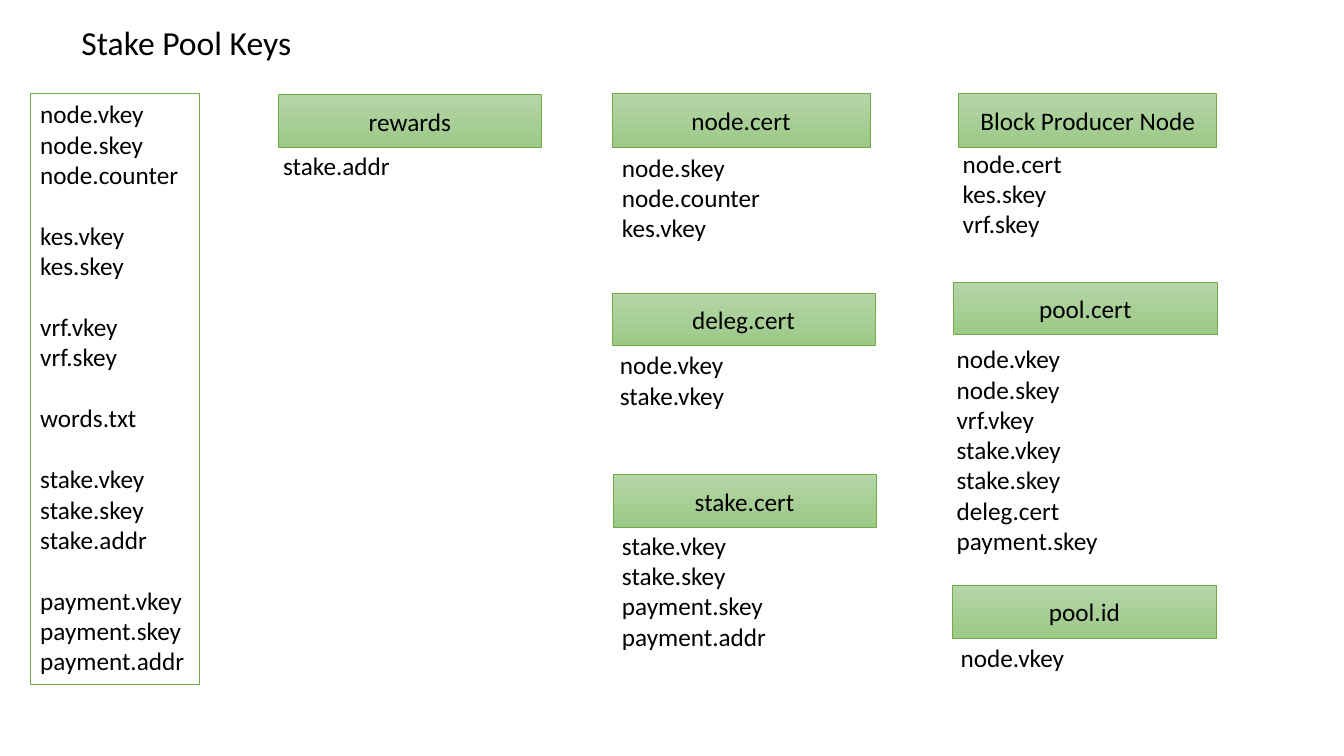
from pptx import Presentation
from pptx.dml.color import RGBColor
from pptx.enum.shapes import MSO_SHAPE
from pptx.enum.text import MSO_ANCHOR, PP_ALIGN
from pptx.util import Inches, Pt

GREEN, BLACK, WHITE = "70AD47", "000000", "FFFFFF"
HEADER_GRADIENT = ("B5D5A7", "9CC987")
BODY_SIZE = 18
LINE_SPACE = Pt(22)

KEY_GROUPS = [
    ["node.vkey", "node.skey", "node.counter"],
    ["kes.vkey", "kes.skey"],
    ["vrf.vkey", "vrf.skey"],
    ["words.txt"],
    ["stake.vkey", "stake.skey", "stake.addr"],
    ["payment.vkey", "payment.skey", "payment.addr"],
]

CARDS = [
    ("Block Producer Node", (9.51, 0.93, 2.56, 0.53), (9.45, 1.42, 1.2),
     ["node.cert", "kes.skey", "vrf.skey"]),
    ("pool.cert", (9.46, 2.8, 2.61, 0.52), (9.39, 3.36, 1.67),
     ["node.vkey", "node.skey", "vrf.vkey", "stake.vkey", "stake.skey",
      "deleg.cert", "payment.skey"]),
    ("stake.cert", (6.08, 4.71, 2.61, 0.52), (6.07, 5.21, 1.65),
     ["stake.vkey", "stake.skey", "payment.skey", "payment.addr"]),
    ("node.cert", (6.07, 0.93, 2.56, 0.53), (6.07, 1.46, 1.59),
     ["node.skey", "node.counter", "kes.vkey"]),
    ("deleg.cert", (6.07, 2.91, 2.61, 0.52), (6.05, 3.42, 1.3),
     ["node.vkey", "stake.vkey"]),
    ("pool.id", (9.45, 5.81, 2.61, 0.52), (9.43, 6.32, 1.24), ["node.vkey"]),
    ("rewards", (2.76, 0.94, 2.61, 0.52), (2.71, 1.44, 1.27), ["stake.addr"]),
]


def color(code):
    """Turn a hex string into a colour."""
    return RGBColor.from_string(code)


def apply_format(target, values):
    """Set each named attribute on the target."""
    for name, value in values.items():
        setattr(target, name, value)


def write_groups(frame, groups, size=BODY_SIZE, align=PP_ALIGN.LEFT):
    """Write one paragraph per line, with a line's space between groups."""
    frame.word_wrap = True
    para = None
    for group_index, group in enumerate(groups):
        for line_index, line in enumerate(group):
            para = frame.add_paragraph() if para else frame.paragraphs[0]
            starts_group = group_index > 0 and line_index == 0
            apply_format(para, {
                "alignment": align,
                "space_before": LINE_SPACE if starts_group else Pt(0),
            })
            span = para.add_run()
            span.text = line
            apply_format(span.font, {"name": "Calibri", "size": Pt(size)})
            span.font.color.rgb = color(BLACK)


def add_box(page, place, line_width):
    """Add a green-outlined rectangle without a shadow."""
    box = page.shapes.add_shape(MSO_SHAPE.RECTANGLE, *map(Inches, place))
    box.shadow.inherit = False
    box.line.color.rgb = color(GREEN)
    box.line.width = Pt(line_width)
    return box


def add_text(page, place, lines, size=BODY_SIZE):
    """Add a text box as tall as its lines."""
    height = 0.1 + len(lines) * size * 0.0169
    box = page.shapes.add_textbox(*map(Inches, (*place, height)))
    write_groups(box.text_frame, [lines], size)


def add_key_list(page):
    """Add the outlined list of all key files."""
    box = add_box(page, (0.3, 0.93, 1.68, 5.86), 1)
    box.fill.solid()
    box.fill.fore_color.rgb = color(WHITE)
    box.text_frame.vertical_anchor = MSO_ANCHOR.TOP
    write_groups(box.text_frame, KEY_GROUPS)


def add_header(page, title, place):
    """Add a gradient header with a centred title."""
    box = add_box(page, place, 0.5)
    box.fill.gradient()
    box.fill.gradient_angle = 270
    for stop, code in zip(box.fill.gradient_stops, HEADER_GRADIENT):
        stop.color.rgb = color(code)
    box.text_frame.vertical_anchor = MSO_ANCHOR.MIDDLE
    write_groups(box.text_frame, [[title]], align=PP_ALIGN.CENTER)


def main():
    """Build the stake pool keys slide."""
    deck = Presentation()
    apply_format(deck, {"slide_width": Inches(13.33), "slide_height": Inches(7.5)})
    page = deck.slides.add_slide(deck.slide_layouts[6])
    add_text(page, (0.71, 0.17, 2.3), ["Stake Pool Keys"], 24)
    add_key_list(page)
    for title, header_place, text_place, lines in CARDS:
        add_header(page, title, header_place)
        add_text(page, text_place, lines)
    deck.save("out.pptx")


main()
